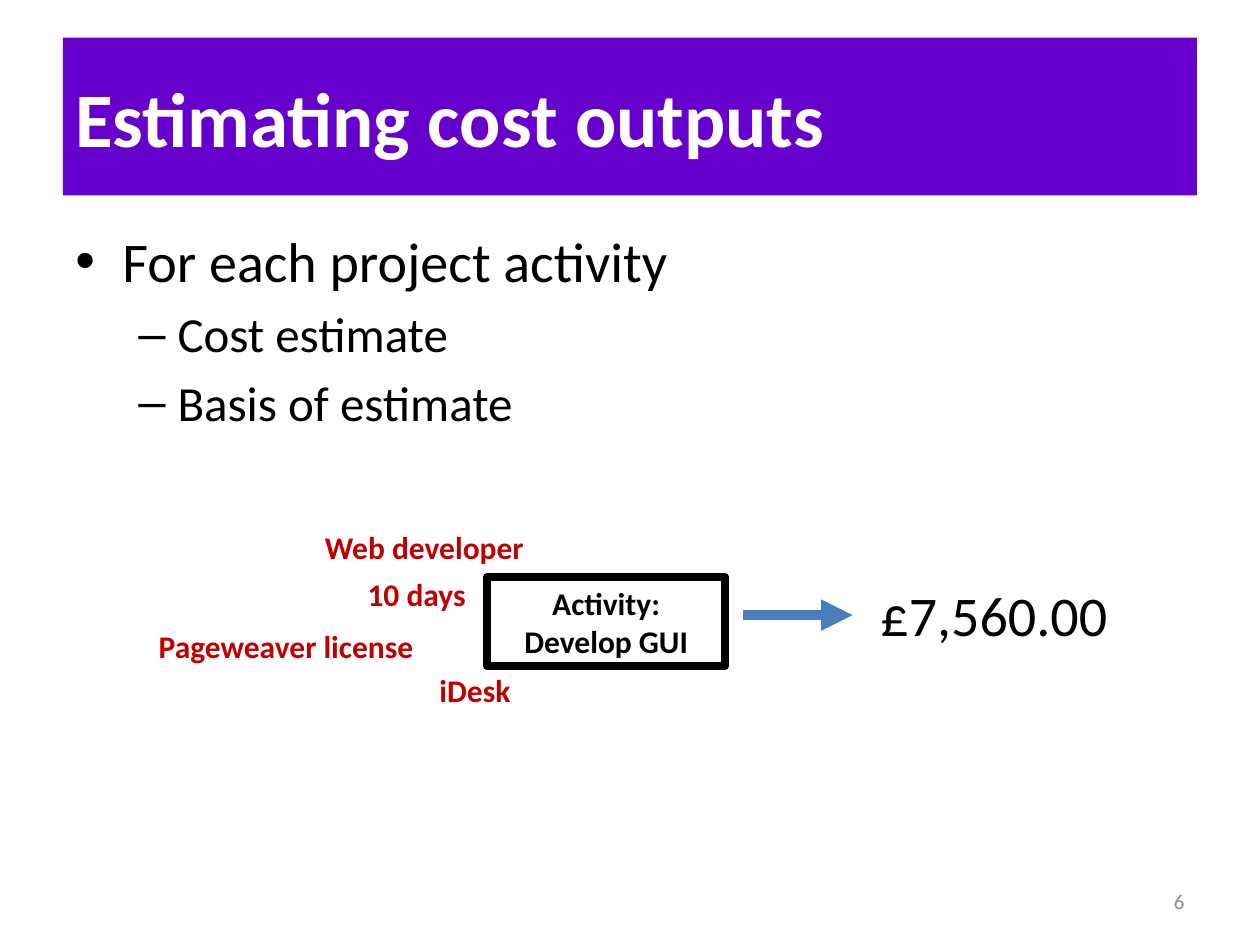
from lxml import etree
from pptx import Presentation
from pptx import util as u
from pptx.dml.color import RGBColor
from pptx.enum import shapes, text
from pptx.oxml.ns import qn

FONT = "Calibri"
PURPLE, RED, BLUE = "6600CC", "C00000", "4B7EBC"
BLACK, WHITE, GREY = "000000", "FFFFFF", "8C8C8C"

TITLE = "Estimating cost outputs"
OUTLINE = [
    (0, "For each project activity"),
    (1, "Cost estimate"),
    (1, "Basis of estimate"),
]
LEVELS = [
    {"bullet": "•", "size": 32, "left": 0.95, "hang": 0.95},
    {"bullet": "–", "size": 28, "left": 2.06, "hang": 0.79},
]
BASIS = [
    ("Web developer", 6.3, 10.52, 4.55),
    ("10 days", 7.16, 11.46, 2.51),
    ("Pageweaver license", 2.95, 12.52, 6.2),
    ("iDesk", 8.61, 13.41, 2.2),
]
ACTIVITY = "Activity: Develop GUI"
COST = "£7,560.00"
PAGE_NUMBER = "6"


def color(value):
    return RGBColor.from_string(value)


def style(para, size, ink, bold=False, align=text.PP_ALIGN.LEFT):
    para.alignment = align
    para.font.name = FONT
    para.font.size = u.Pt(size)
    para.font.bold = bold
    para.font.color.rgb = color(ink)


def add_text(page, words, place, size, ink, bold=False, wrap=True,
             align=text.PP_ALIGN.LEFT, anchor=text.MSO_ANCHOR.TOP):
    box = page.shapes.add_textbox(*map(u.Cm, place))
    frame = box.text_frame
    frame.word_wrap = wrap
    frame.vertical_anchor = anchor
    if not wrap:
        frame.auto_size = text.MSO_AUTO_SIZE.SHAPE_TO_FIT_TEXT
    frame.text = words
    style(frame.paragraphs[0], size, ink, bold, align)
    return box


def add_panel(page, words, place, fill, size, ink, align):
    panel = page.shapes.add_shape(shapes.MSO_SHAPE.RECTANGLE, *map(u.Cm, place))
    panel.shadow.inherit = False
    panel.fill.solid()
    panel.fill.fore_color.rgb = color(fill)
    panel.line.fill.background()
    panel.text_frame.word_wrap = True
    panel.text_frame.text = words
    style(panel.text_frame.paragraphs[0], size, ink, True, align)
    return panel


def add_outline(page, place):
    frame = page.shapes.add_textbox(*map(u.Cm, place)).text_frame
    frame.word_wrap = True
    for index, (depth, words) in enumerate(OUTLINE):
        level = LEVELS[depth]
        para = frame.add_paragraph() if index else frame.paragraphs[0]
        para.text = words
        para.level = depth
        if index:
            para.space_before = u.Pt(level["size"] * 0.2)
        props = para._p.get_or_add_pPr()
        props.set("marL", str(u.Cm(level["left"])))
        props.set("indent", str(-u.Cm(level["hang"])))
        etree.SubElement(props, qn("a:buFont"), typeface="Arial")
        etree.SubElement(props, qn("a:buChar"), char=level["bullet"])
        style(para, level["size"], BLACK)


def add_arrow(page, left, right, y):
    arrow = page.shapes.add_connector(
        shapes.MSO_CONNECTOR.STRAIGHT, u.Cm(left), u.Cm(y), u.Cm(right), u.Cm(y))
    arrow.line.width = u.Pt(6)
    arrow.line.color.rgb = color(BLUE)
    etree.SubElement(arrow.line._get_or_add_ln(), qn("a:tailEnd"), type="triangle")
    etree.SubElement(arrow._element.spPr, qn("a:effectLst"))


def main():
    deck = Presentation()
    deck.slide_width, deck.slide_height = u.Cm(25.4), u.Cm(19.05)
    page = deck.slides.add_slide(deck.slide_layouts[6])

    add_panel(page, TITLE, (1.27, 0.76, 22.86, 3.18), PURPLE, 44, WHITE,
              text.PP_ALIGN.LEFT)
    add_outline(page, (1.27, 4.45, 22.86, 12.57))
    add_text(page, PAGE_NUMBER, (18.2, 17.66, 5.93, 1.01), 12, GREY,
             align=text.PP_ALIGN.RIGHT, anchor=text.MSO_ANCHOR.MIDDLE)

    activity = add_panel(page, ACTIVITY, (9.82, 11.63, 4.8, 1.8), WHITE, 18, BLACK,
                         text.PP_ALIGN.CENTER)
    activity.line.width = u.Pt(4.5)
    activity.line.color.rgb = color(BLACK)

    for words, left, top, width in BASIS:
        add_text(page, words, (left, top, width, 1.03), 18, RED, bold=True, wrap=False)

    add_arrow(page, 14.98, 17.19, 12.4)
    add_text(page, COST, (17.5, 11.58, 5.13, 1.62), 32, BLACK, wrap=False)
    deck.save("out.pptx")


if __name__ == "__main__":
    main()
